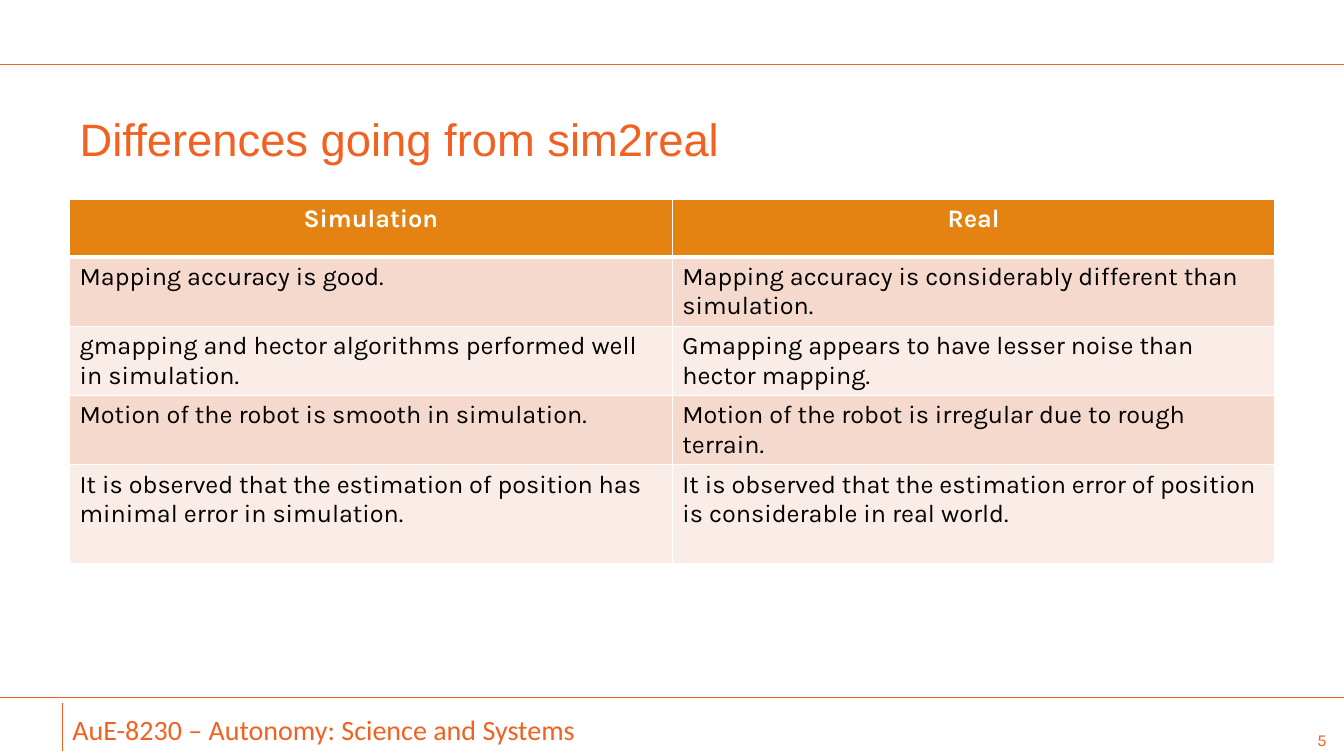
"""Build the slide comparing robot behaviour in simulation and reality."""
from dataclasses import dataclass

from lxml import etree
from pptx import Presentation
from pptx import util as u
from pptx.dml.color import RGBColor
from pptx.enum import shapes, text
from pptx.oxml import ns

ORANGE = RGBColor(0xF1, 0x61, 0x22)
HEADER_FILL = RGBColor(0xE4, 0x83, 0x12)
DARK_BAND = RGBColor(0xF5, 0xD9, 0xCC)
LIGHT_BAND = RGBColor(0xFA, 0xED, 0xE7)
WHITE = RGBColor(0xFF, 0xFF, 0xFF)
BLACK = RGBColor(0, 0, 0)

WIDTH, HEIGHT = 960, 540
TABLE_LEFT, TABLE_TOP, TABLE_WIDTH = 49.7, 142.6, 861.1
ROW_HEIGHTS = (41, 49.4, 49.4, 49.4, 70.4)
ROWS = (
    ("Simulation", "Real"),
    ("Mapping accuracy is good.",
     "Mapping accuracy is considerably different than simulation."),
    ("gmapping and hector algorithms performed well in simulation.",
     "Gmapping appears to have lesser noise than hector mapping."),
    ("Motion of the robot is smooth in simulation.",
     "Motion of the robot is irregular due to rough terrain."),
    ("It is observed that the estimation of position has minimal error in simulation.",
     "It is observed that the estimation error of position is considerable in real world."),
)


@dataclass(frozen=True)
class Rule:
    """A thin line between two points."""
    x1: float
    y1: float
    x2: float
    y2: float


@dataclass(frozen=True)
class Label:
    """A text box with its format."""
    words: str
    left: float
    top: float
    width: float
    height: float
    font: dict
    align: text.PP_ALIGN
    anchor: text.MSO_ANCHOR


RULES = (
    Rule(0, 46.1, WIDTH, 46.1),
    Rule(0, 498.2, WIDTH, 498.2),
    Rule(44.6, 536.4, 44.6, 501.8),
)
LABELS = (
    Label("AuE-8230 – Autonomy: Science and Systems", 44.6, 505.4, 452.2, 31.7,
          {"name": "Calibri", "size": u.Pt(20)},
          text.PP_ALIGN.LEFT, text.MSO_ANCHOR.TOP),
    Label("5", 807.8, 521.3, 146.9, 13.7,
          {"name": "Karla", "size": u.Pt(12)},
          text.PP_ALIGN.RIGHT, text.MSO_ANCHOR.MIDDLE),
)


def write(frame, words: str, font: dict, color: RGBColor, align) -> None:
    """Fill a text frame with one formatted paragraph."""
    frame.word_wrap = True
    paragraph = frame.paragraphs[0]
    paragraph.alignment = align
    run = paragraph.add_run()
    run.text = words
    for name, value in font.items():
        setattr(run.font, name, value)
    run.font.color.rgb = color


def draw_rule(slide, rule: Rule) -> None:
    """Draw an orange line without shadow."""
    ends = (u.Pt(value) for value in (rule.x1, rule.y1, rule.x2, rule.y2))
    connector = slide.shapes.add_connector(shapes.MSO_CONNECTOR.STRAIGHT, *ends)
    connector.line.color.rgb = ORANGE
    connector.line.width = u.Pt(0.75)
    etree.SubElement(connector._element.spPr, ns.qn("a:effectLst"))


def draw_label(slide, label: Label) -> None:
    """Draw an orange text box."""
    box = (u.Pt(value) for value in (label.left, label.top, label.width, label.height))
    shape = slide.shapes.add_textbox(*box)
    shape.text_frame.vertical_anchor = label.anchor
    write(shape.text_frame, label.words, label.font, ORANGE, label.align)


def draw_borders(cell, bottom: float) -> None:
    """Give a cell white borders, with its own bottom width."""
    properties = cell._tc.get_or_add_tcPr()
    for side, width in {"L": 1, "R": 1, "T": 1, "B": bottom}.items():
        line = etree.SubElement(properties, ns.qn(f"a:ln{side}"), w=str(u.Pt(width)))
        fill = etree.SubElement(line, ns.qn("a:solidFill"))
        etree.SubElement(fill, ns.qn("a:srgbClr"), val=str(WHITE))


def draw_table(slide) -> None:
    """Draw the comparison table with a header and banded rows."""
    box = (TABLE_LEFT, TABLE_TOP, TABLE_WIDTH, sum(ROW_HEIGHTS))
    table = slide.shapes.add_table(len(ROWS), 2, *map(u.Pt, box)).table
    for index, (height, row) in enumerate(zip(ROW_HEIGHTS, ROWS)):
        table.rows[index].height = u.Pt(height)
        header = index == 0
        band = DARK_BAND if index % 2 else LIGHT_BAND
        for column, words in enumerate(row):
            cell = table.cell(index, column)
            draw_borders(cell, 3 if header else 1)
            cell.fill.solid()
            cell.fill.fore_color.rgb = HEADER_FILL if header else band
            write(cell.text_frame, words,
                  {"name": "Karla", "size": u.Pt(18), "bold": header},
                  WHITE if header else BLACK,
                  text.PP_ALIGN.CENTER if header else text.PP_ALIGN.LEFT)


def draw_title(slide) -> None:
    """Place and format the title placeholder."""
    title = slide.shapes.title
    place = {"left": 49.7, "top": 73.4, "width": 861.1, "height": 50.4}
    for name, value in place.items():
        setattr(title, name, u.Pt(value))
    title.text_frame.vertical_anchor = text.MSO_ANCHOR.MIDDLE
    write(title.text_frame, "Differences going from sim2real",
          {"name": "Arial", "size": u.Pt(32.4)}, ORANGE, text.PP_ALIGN.LEFT)


def main() -> None:
    """Build and save the presentation."""
    presentation = Presentation()
    presentation.slide_width = u.Pt(WIDTH)
    presentation.slide_height = u.Pt(HEIGHT)
    slide = presentation.slides.add_slide(presentation.slide_layouts[5])
    for rule in RULES:
        draw_rule(slide, rule)
    draw_title(slide)
    draw_table(slide)
    for label in LABELS:
        draw_label(slide, label)
    presentation.save("out.pptx")


if __name__ == "__main__":
    main()
